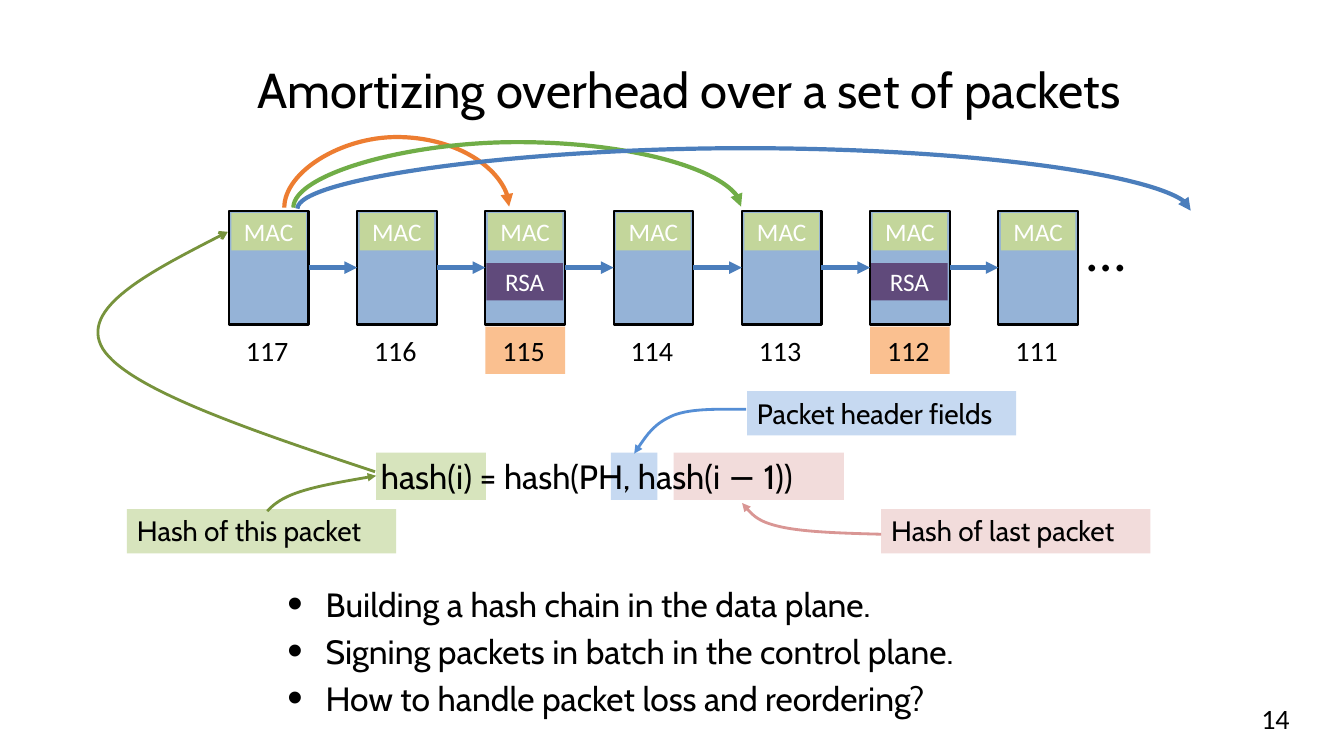
from dataclasses import dataclass
from lxml.etree import SubElement
from pptx import Presentation
from pptx.dml.color import RGBColor
from pptx.enum.shapes import MSO_CONNECTOR, MSO_SHAPE
from pptx.enum.text import MSO_ANCHOR, MSO_AUTO_SIZE, PP_ALIGN
from pptx.oxml.ns import qn
from pptx.util import Inches, Pt


@dataclass(frozen=True)
class Theme:
    heading: str = "Cabin"
    label: str = "Calibri"
    title_size: int = 35
    body_size: int = 24
    note_size: int = 20
    tag_size: int = 18
    ellipsis_size: int = 40
    black: str = "000000"
    white: str = "FFFFFF"
    packet: str = "95B3D7"
    mac: str = "C3D69B"
    rsa: str = "604A7B"
    signed: str = "FAC090"
    blue_note: str = "C6D9F1"
    pink_note: str = "F2DCDB"
    green_note: str = "D7E4BD"
    blue_curve: str = "558ED5"
    pink_curve: str = "D99694"
    green_curve: str = "77933C"
    chain: str = "4B7EBC"
    orange_arc: str = "ED7D31"
    green_arc: str = "70AD47"


class SlideBuilder:
    cell = Inches(0.1)

    def __init__(self, presentation, theme):
        self.theme = theme
        self.slide = presentation.slides.add_slide(presentation.slide_layouts[1])

    def grid(self, *cells):
        return [round(value * self.cell) for value in cells]

    def place(self, shape, box):
        shape.left, shape.top, shape.width, shape.height = self.grid(*box)

    def style(self, paragraph, size, face, color=None, align=PP_ALIGN.LEFT):
        paragraph.alignment = align
        font = paragraph.font
        font.size, font.name = Pt(size), face
        font.color.rgb = RGBColor.from_string(color or self.theme.black)

    def set_text(self, shape, text, size, face, color=None,
                 align=PP_ALIGN.LEFT, anchor=MSO_ANCHOR.TOP, wrap=True):
        frame = shape.text_frame
        frame.word_wrap, frame.vertical_anchor = wrap, anchor
        frame.text = text
        self.style(frame.paragraphs[0], size, face, color, align)

    def title(self, box, text):
        shape = self.slide.shapes.title
        self.place(shape, box)
        shape.text_frame.auto_size = MSO_AUTO_SIZE.NONE
        self.set_text(shape, text, self.theme.title_size, self.theme.heading,
                      align=PP_ALIGN.CENTER, anchor=MSO_ANCHOR.MIDDLE)

    def bullets(self, box, items):
        shape = self.slide.placeholders[1]
        self.place(shape, box)
        frame = shape.text_frame
        frame.text = "\n".join(items)
        frame.auto_size = MSO_AUTO_SIZE.NONE
        for index, paragraph in enumerate(frame.paragraphs):
            properties = paragraph._p.get_or_add_pPr()
            properties.set("marL", str(Inches(0.88)))
            properties.set("indent", str(Inches(-0.38)))
            SubElement(properties, qn("a:buSzPct"), val="130000")
            SubElement(properties, qn("a:buChar"), char="•")
            paragraph.space_before = Pt(4.8 if index else 0)
            self.style(paragraph, self.theme.body_size, self.theme.heading)

    def text(self, box, text, size, face, **options):
        shape = self.slide.shapes.add_textbox(*self.grid(*box))
        self.set_text(shape, text, size, face, **options)

    def rectangle(self, box, fill, outlined=False):
        shape = self.slide.shapes.add_shape(MSO_SHAPE.RECTANGLE, *self.grid(*box))
        shape.shadow.inherit = False
        shape.fill.solid()
        shape.fill.fore_color.rgb = RGBColor.from_string(fill)
        if outlined:
            self.stroke(shape, self.theme.black, 1.5)
        else:
            shape.line.fill.background()
        return shape

    def tag(self, box, text, fill):
        self.set_text(self.rectangle(box, fill), text, self.theme.tag_size,
                      self.theme.label, self.theme.white,
                      PP_ALIGN.CENTER, MSO_ANCHOR.MIDDLE)

    def callout(self, box, text, fill):
        self.set_text(self.rectangle(box, fill), text,
                      self.theme.note_size, self.theme.heading)

    def stroke(self, shape, color, width, arrow=None):
        shape.line.color.rgb = RGBColor.from_string(color)
        shape.line.width = Pt(width)
        if arrow:
            line = shape._element.spPr.find(qn("a:ln"))
            SubElement(line, qn("a:tailEnd"), type=arrow)

    def link(self, source, target):
        connector = self.slide.shapes.add_connector(MSO_CONNECTOR.STRAIGHT, 0, 0, 0, 0)
        connector.begin_connect(source, 3)
        connector.end_connect(target, 1)
        self.stroke(connector, self.theme.chain, 3, "triangle")
        SubElement(connector._element.spPr, qn("a:effectLst"))

    def curve(self, points, color, width=2, arrow="triangle"):
        start, *controls = [self.grid(*point) for point in points]
        builder = self.slide.shapes.build_freeform(*start)
        builder.add_line_segments(controls, close=False)
        shape = builder.convert_to_shape()
        outline = shape._element.spPr.find(".//" + qn("a:path"))
        segments = outline.findall(qn("a:lnTo"))
        for first in range(0, len(segments), 3):
            bezier = SubElement(outline, qn("a:cubicBezTo"))
            for segment in segments[first:first + 3]:
                bezier.append(segment[0])
                outline.remove(segment)
        shape.fill.background()
        shape.shadow.inherit = False
        self.stroke(shape, color, width, arrow)

    def arc(self, start, end, peak, color):
        (left, top), (right, bottom) = start, end
        quarter = (right - left) / 4
        self.curve([start, (left, (top + peak) / 2), (left + quarter, peak),
                    (left + 2 * quarter, peak), (right - quarter, peak),
                    (right, (bottom + peak) / 2), end], color, 3)


def main():
    presentation = Presentation()
    presentation.slide_width, presentation.slide_height = Inches(13.33), Inches(7.5)
    theme = Theme()
    builder = SlideBuilder(presentation, theme)

    builder.title((15.7, 3.4, 105.3, 10.8), "Amortizing overhead over a set of packets")
    builder.bullets((22.5, 57.4, 91.7, 15.7), [
        "Building a hash chain in the data plane.",
        "Signing packets in batch in the control plane.",
        "How to handle packet loss and reordering?"])
    builder.text((97.8, 69.3, 31.1, 4), "14", theme.note_size, theme.label,
                 align=PP_ALIGN.RIGHT, anchor=MSO_ANCHOR.MIDDLE)

    packet_lefts = {number: 22.7 + 12.72 * index
                    for index, number in enumerate(range(117, 110, -1))}
    signed_packets = (115, 112)
    for number in signed_packets:
        builder.rectangle((packet_lefts[number], 32.4, 7.9, 4.7), theme.signed)
    packets = []
    for number, left in packet_lefts.items():
        packets.append(builder.rectangle((left, 20.9, 7.9, 11.3), theme.packet, True))
        builder.text((left + 0.7, 32.6, 6.6, 4.4), str(number),
                     theme.note_size, theme.label)
    for source, target in zip(packets, packets[1:]):
        builder.link(source, target)
    for number, left in packet_lefts.items():
        builder.tag((left + 0.25, 21.15, 7.4, 3.7), "MAC", theme.mac)
        if number in signed_packets:
            builder.tag((left + 0.1, 26.1, 7.6, 3.7), "RSA", theme.rsa)
    builder.text((106.8, 20.9, 5.9, 7.7), "…", theme.ellipsis_size, theme.label, wrap=False)

    for left, width, fill in ((37.3, 10.9, theme.green_note),
                              (60.6, 4.6, theme.blue_note),
                              (66.8, 16.9, theme.pink_note)):
        builder.rectangle((left, 44.9, width, 4.7), fill)
    builder.text((36.8, 44.7, 51.7, 5), "hash(i) = hash(PH, hash(i − 1))",
                 theme.body_size, theme.heading)
    for left, top, text, fill in (
            (74.1, 38.8, "Packet header fields", theme.blue_note),
            (87.4, 50.5, "Hash of last packet", theme.pink_note),
            (12.6, 50.5, "Hash of this packet", theme.green_note)):
        builder.callout((left, top, 26.7, 4.4), text, fill)

    builder.curve([(74, 40.6), (71.3, 40.6), (68.6, 40.5), (66.8, 41.2),
                   (64.9, 42), (63.9, 43.5), (62.9, 45)], theme.blue_curve)
    builder.curve([(87.4, 53), (83.7, 52.9), (80, 52.8), (77.6, 52.3),
                   (75.3, 51.8), (74.4, 50.9), (73.6, 49.9)], theme.pink_curve)
    builder.curve([(26.5, 50.7), (27.2, 50), (27.9, 49.4), (29.7, 48.8),
                   (31.5, 48.2), (34.4, 47.7), (37.3, 47.2)], theme.green_curve)
    builder.curve([(37.2, 46.8), (24.9, 42.7), (12.7, 38.6), (10.2, 34.6),
                   (7.8, 30.6), (15.2, 26.8), (22.6, 23)], theme.green_curve, arrow="arrow")

    builder.arc((28.2, 20.6), (50.5, 20.5), 13.6, theme.orange_arc)
    builder.arc((29.1, 20.6), (73.5, 20.5), 14.1, theme.green_arc)
    builder.arc((29.5, 20.7), (118.1, 20.9), 14.7, theme.chain)
    presentation.save("out.pptx")


if __name__ == "__main__":
    main()
